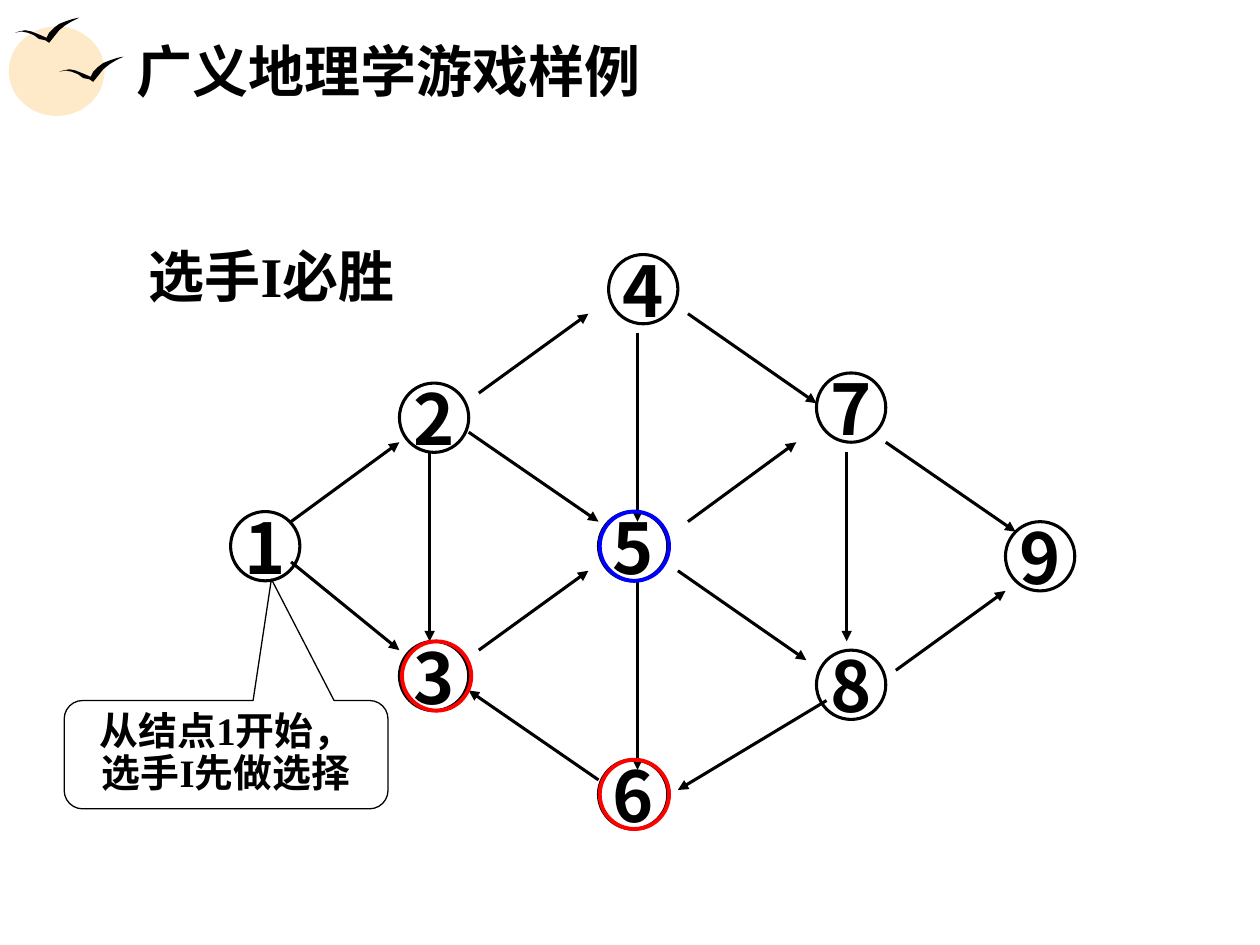
from lxml.etree import SubElement
from pptx import Presentation
from pptx.dml.color import RGBColor
from pptx.enum.shapes import MSO_CONNECTOR, MSO_SHAPE
from pptx.enum.text import MSO_ANCHOR, MSO_AUTO_SIZE, PP_ALIGN
from pptx.oxml.ns import qn
from pptx.util import Pt

PX = 9144  # 100 px to the inch
BLACK = RGBColor(0, 0, 0)
RED = RGBColor(255, 0, 0)
BLUE = RGBColor(0, 0, 255)
SUN = RGBColor(0xFE, 0xE9, 0xC8)
SERIF = "Times New Roman"
SANS = "Noto Sans CJK SC"
SIZE = 55

NODES = {
    1: (183, 406), 2: (317, 304), 3: (317, 509),
    4: (483, 202), 5: (475, 406), 6: (475, 603),
    7: (648, 296), 8: (648, 516), 9: (798, 414),
}
RINGS = [(319, 509, RED), (476, 406, BLUE), (476, 603, RED)]
EDGES = [
    (231, 414, 317, 351), (380, 312, 467, 249), (380, 516, 467, 453),
    (546, 414, 632, 351), (711, 532, 798, 469), (231, 446, 317, 516),
    (546, 249, 648, 320), (703, 351, 806, 422), (372, 343, 475, 414),
    (538, 453, 640, 524), (341, 359, 341, 509), (506, 264, 506, 414),
    (506, 461, 506, 611), (672, 359, 672, 509), (656, 556, 538, 627),
    (475, 619, 372, 548),
]
BIRD = [
    (0, 12), (3, 11), (8, 10), (13, 11), (18, 13), (25, 16), (27, 12),
    (31, 8), (35, 5), (40, 3), (46, 1), (51, 0), (45, 3), (40, 6),
    (35, 10), (31, 15), (27, 20), (24, 18), (19, 17), (15, 14),
    (10, 12), (5, 11),
]


class Board:
    """Holds the current slide and the text style shared by its parts."""

    def __init__(self, slide):
        self.shapes = slide.shapes
        self.font = {"name": SERIF, "bold": True}

    def place(self, shape, left, top, width, height):
        box = {"left": left, "top": top, "width": width, "height": height}
        for key, value in box.items():
            setattr(shape, key, value * PX)

    def letter(self, shape, text, size, frame=None, para=None, **font):
        """Fill a shape with one run of text in the shared style."""
        body = shape.text_frame
        for key, value in {"word_wrap": True, **(frame or {})}.items():
            setattr(body, key, value)
        line = body.paragraphs[0]
        for key, value in (para or {}).items():
            setattr(line, key, value)
        run = line.add_run()
        run.text = text
        for key, value in {**self.font, "size": Pt(size), **font}.items():
            setattr(run.font, key, value)
        run.font.color.rgb = BLACK
        SubElement(run._r.get_or_add_rPr(), qn("a:ea"), typeface=SANS)

    def title(self, text, *box):
        shape = self.shapes.title
        self.place(shape, *box)
        frame = {"vertical_anchor": MSO_ANCHOR.MIDDLE,
                 "auto_size": MSO_AUTO_SIZE.NONE}
        self.letter(shape, text, 32, frame, {"alignment": PP_ALIGN.LEFT})

    def label(self, text, *box):
        shape = self.shapes.add_textbox(*(n * PX for n in box))
        self.letter(shape, text, 32)

    def paint(self, shape, fill=None, line=None, weight=1.75):
        shape.shadow.inherit = False
        if fill is None:
            shape.fill.background()
        else:
            shape.fill.solid()
            shape.fill.fore_color.rgb = fill
        if line is None:
            shape.line.fill.background()
        else:
            shape.line.color.rgb = line
            shape.line.width = Pt(weight)

    def shape(self, kind, box, **paint):
        shape = self.shapes.add_shape(kind, *(n * PX for n in box))
        self.paint(shape, **paint)
        return shape

    def oval(self, *box, **paint):
        return self.shape(MSO_SHAPE.OVAL, box, **paint)

    def bird(self, left, top):
        points = [(left + x, top + y) for x, y in BIRD]
        pen = self.shapes.build_freeform(*points[0], scale=PX)
        pen.add_line_segments(points[1:], close=True)
        self.paint(pen.convert_to_shape(), fill=BLACK)

    def node(self, name, left, top):
        shape = self.oval(left, top, SIZE, SIZE, line=BLACK)
        frame = {"word_wrap": False, "vertical_anchor": MSO_ANCHOR.MIDDLE}
        self.letter(shape, str(name), 40, frame,
                    {"alignment": PP_ALIGN.CENTER}, name=SANS)

    def arrow(self, *ends):
        edge = self.shapes.add_connector(
            MSO_CONNECTOR.STRAIGHT, *(n * PX for n in ends))
        edge.line.color.rgb = BLACK
        edge.line.width = Pt(1.75)
        props = edge._element.spPr
        SubElement(props.find(qn("a:ln")), qn("a:tailEnd"), type="triangle")
        SubElement(props, qn("a:effectLst"))

    def callout(self, text, *box):
        shape = self.shape(MSO_SHAPE.ROUNDED_RECTANGULAR_CALLOUT, box,
                           line=BLACK, weight=0.75)
        for i, value in enumerate((0.14, -1.62, 0.17)):
            shape.adjustments[i] = value
        self.letter(shape, text, 22.2, {"vertical_anchor": MSO_ANCHOR.TOP},
                    {"alignment": PP_ALIGN.CENTER, "line_spacing": 0.9})


def main():
    deck = Presentation()
    deck.slide_width = 1000 * PX
    deck.slide_height = 750 * PX
    board = Board(deck.slides.add_slide(deck.slide_layouts[5]))

    board.oval(7, 21, 76, 71, fill=SUN)
    board.bird(47, 45)
    board.bird(12, 14)
    board.title("广义地理学游戏样例", 98, 21, 853, 69)
    board.label("选手I必胜", 108, 187, 250, 64)
    for name, spot in NODES.items():
        board.node(name, *spot)
    for ends in EDGES:
        board.arrow(*ends)
    board.callout("从结点1开始，选手I先做选择", 51, 556, 257, 86)
    for left, top, color in RINGS:
        board.oval(left, top, SIZE, SIZE, line=color, weight=2.25)

    deck.save("out.pptx")


if __name__ == "__main__":
    main()
